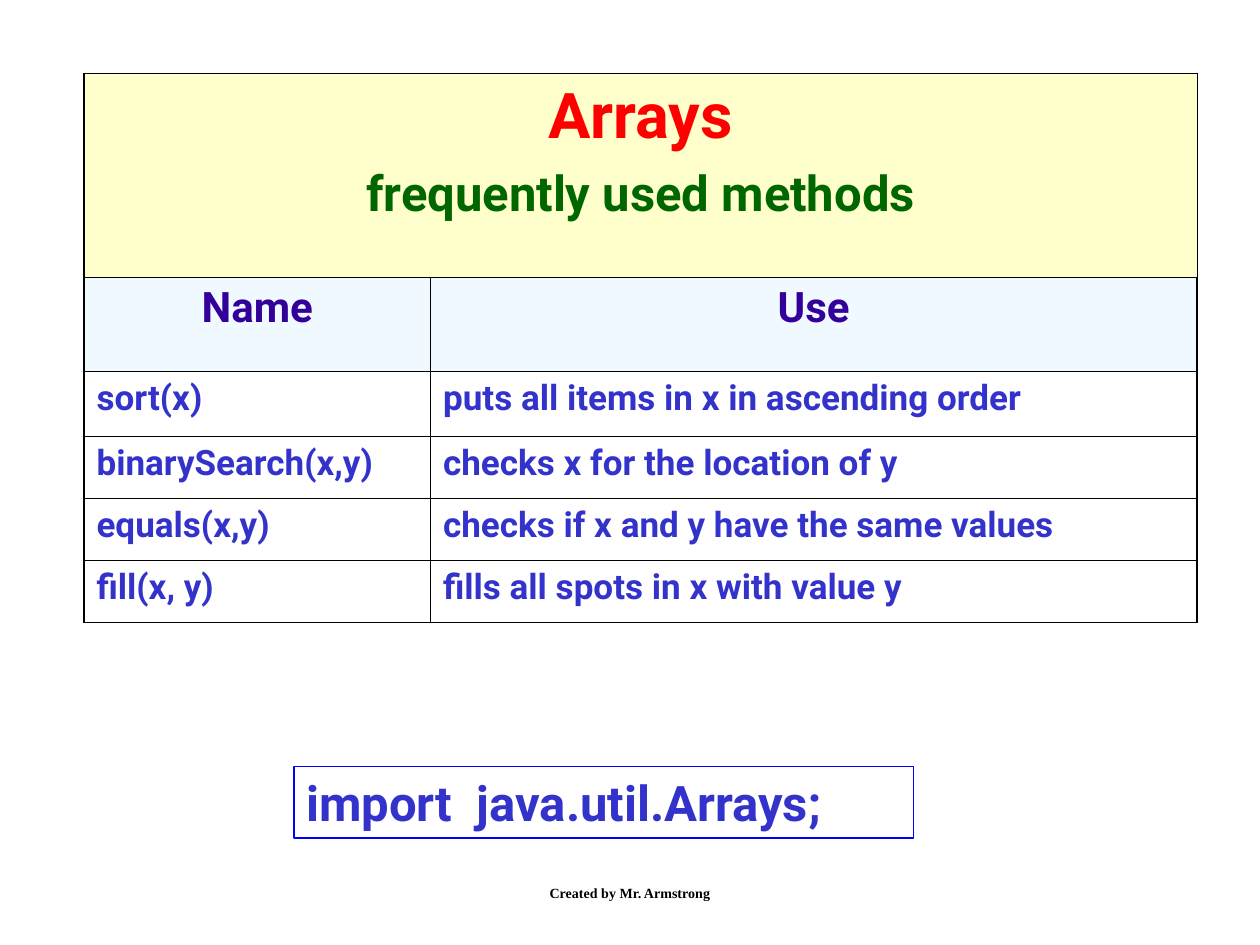
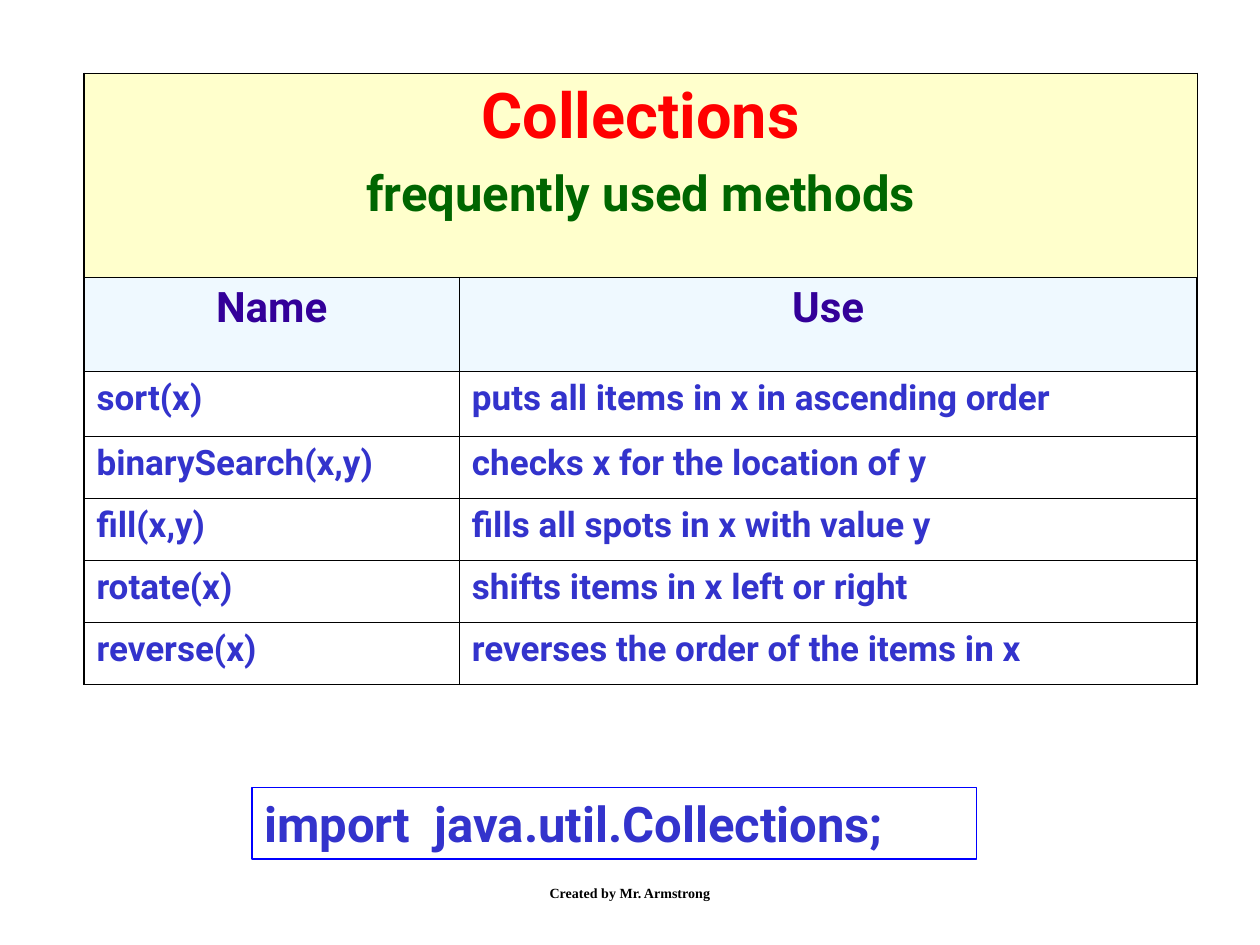
from dataclasses import dataclass

from lxml import etree
from pptx import Presentation
from pptx import util as u
from pptx.dml.color import RGBColor
from pptx.enum import shapes, text
from pptx.oxml.ns import qn

CENTER, LEFT = text.PP_ALIGN.CENTER, text.PP_ALIGN.LEFT


@dataclass(frozen=True)
class TextStyle:
    size: int
    color: str
    align: int = LEFT
    before: int = 0
    font: str = "Roboto"


@dataclass(frozen=True)
class Theme:
    heading = TextStyle(36, "FF0000", CENTER)
    subheading = TextStyle(28, "006600", CENTER, before=7)
    column_name = TextStyle(24, "330099", CENTER)
    entry = TextStyle(20, "3333CC")
    code = TextStyle(28, "3333CC")
    credit = TextStyle(8, "000000", CENTER, font="Times New Roman")
    heading_fill = "FFFFCC"
    column_fill = "E1F4FF"
    column_opacity = 50
    border = "000000"
    outer_width = 1.08
    inner_width = 0.45
    code_border = "0000FF"


class MethodDeck:
    """Builds slides on a grid of 120 columns by 90 rows."""

    columns, rows = 120, 90
    heading_height, names_height = 19.4, 9
    first_height, entry_height = 6.2, 5.9

    def __init__(self, theme):
        self.theme = theme
        self.deck = Presentation()
        self.deck.slide_width, self.deck.slide_height = u.Inches(10), u.Inches(7.5)
        self.page = None

    def across(self, count):
        return round(self.deck.slide_width * count / self.columns)

    def down(self, count):
        return round(self.deck.slide_height * count / self.rows)

    def area(self, left, top, width, height):
        return self.across(left), self.down(top), self.across(width), self.down(height)

    def new_page(self):
        self.page = self.deck.slides.add_slide(self.deck.slide_layouts[6])

    def set_text(self, frame, *lines):
        """Fill a text frame with (wording, style) pairs, one per paragraph."""
        frame.word_wrap = True
        for index, (wording, style) in enumerate(lines):
            para = frame.add_paragraph() if index else frame.paragraphs[0]
            para.text = wording
            para.alignment = style.align
            if style.before:
                para.space_before = u.Pt(style.before)
            para.font.name = style.font
            para.font.size = u.Pt(style.size)
            para.font.bold = True
            para.font.color.rgb = RGBColor.from_string(style.color)

    def paint(self, cell, color=None, opacity=100):
        if color is None:
            cell.fill.background()
            return
        cell.fill.solid()
        cell.fill.fore_color.rgb = RGBColor.from_string(color)
        if opacity < 100:
            tint = cell._tc.tcPr.find(".//" + qn("a:srgbClr"))
            etree.SubElement(tint, qn("a:alpha"), val=str(opacity * 1000))

    def draw_borders(self, table):
        last_row, last_column = len(table.rows) - 1, len(table.columns) - 1
        for row in range(last_row + 1):
            for column in range(last_column + 1):
                outer_sides = {
                    "a:lnL": column == 0,
                    "a:lnR": column == last_column,
                    "a:lnT": row == 0,
                    "a:lnB": row == last_row,
                }
                properties = table.cell(row, column)._tc.get_or_add_tcPr()
                for position, (side, outer) in enumerate(outer_sides.items()):
                    width = self.theme.outer_width if outer else self.theme.inner_width
                    line = etree.Element(qn(side), w=str(int(u.Pt(width))))
                    solid = etree.SubElement(line, qn("a:solidFill"))
                    etree.SubElement(solid, qn("a:srgbClr"), val=self.theme.border)
                    properties.insert(position, line)

    def method_table(self, class_name, name_width, methods):
        theme = self.theme
        heights = [self.heading_height, self.names_height, self.first_height]
        heights += [self.entry_height] * (len(methods) - 1)
        widths = [name_width, 106 - name_width]
        table = self.page.shapes.add_table(
            len(heights), 2, *self.area(8, 7, sum(widths), sum(heights))).table
        table.first_row = table.horz_banding = False
        for column, width in zip(table.columns, widths):
            column.width = self.across(width)
        for row, height in zip(table.rows, heights):
            row.height = self.down(height)

        heading = table.cell(0, 0)
        heading.merge(table.cell(0, 1))
        self.set_text(heading.text_frame, (class_name, theme.heading),
                      ("frequently used methods", theme.subheading))
        for cell in table.rows[0].cells:
            self.paint(cell, theme.heading_fill)

        for row, entries in enumerate([("Name", "Use"), *methods], start=1):
            for column, wording in enumerate(entries):
                cell = table.cell(row, column)
                if row == 1:
                    self.set_text(cell.text_frame, (wording, theme.column_name))
                    self.paint(cell, theme.column_fill, theme.column_opacity)
                else:
                    self.set_text(cell.text_frame, (wording, theme.entry))
                    self.paint(cell)
        self.draw_borders(table)

    def import_box(self, code, left, top, width):
        box = self.page.shapes.add_shape(
            shapes.MSO_SHAPE.RECTANGLE, *self.area(left, top, width, 6.8))
        box.shadow.inherit = False
        box.fill.background()
        box.line.color.rgb = RGBColor.from_string(self.theme.code_border)
        box.line.width = u.Pt(1)
        self.set_text(box.text_frame, (code, self.theme.code))
        box.text_frame.vertical_anchor = text.MSO_ANCHOR.TOP
        box.text_frame.auto_size = text.MSO_AUTO_SIZE.SHAPE_TO_FIT_TEXT

    def credit(self):
        box = self.page.shapes.add_textbox(*self.area(41, 82, 38, 6))
        self.set_text(box.text_frame, ("Created by Mr. Armstrong", self.theme.credit))
        box.text_frame.vertical_anchor = text.MSO_ANCHOR.MIDDLE

    def method_page(self, class_name, name_width, methods, import_place):
        self.new_page()
        self.method_table(class_name, name_width, methods)
        self.import_box(f"import  java.util.{class_name};", *import_place)
        self.credit()


def main():
    builder = MethodDeck(Theme())
    builder.method_page("Arrays", 33, [
        ("sort(x)", "puts all items in x in ascending order"),
        ("binarySearch(x,y)", "checks x for the location of y"),
        ("equals(x,y)", "checks if x and y have the same values"),
        ("fill(x, y)", "fills all spots in x with value y"),
    ], import_place=(28, 73, 59))
    builder.method_page("Collections", 35.75, [
        ("sort(x)", "puts all items in x in ascending order"),
        ("binarySearch(x,y)", "checks x for the location of y"),
        ("fill(x,y)", "fills all spots in x with value y"),
        ("rotate(x)", "shifts items in x left or right"),
        ("reverse(x)", "reverses the order of the items in x"),
    ], import_place=(24, 75, 69))
    builder.deck.save("out.pptx")


if __name__ == "__main__":
    main()
